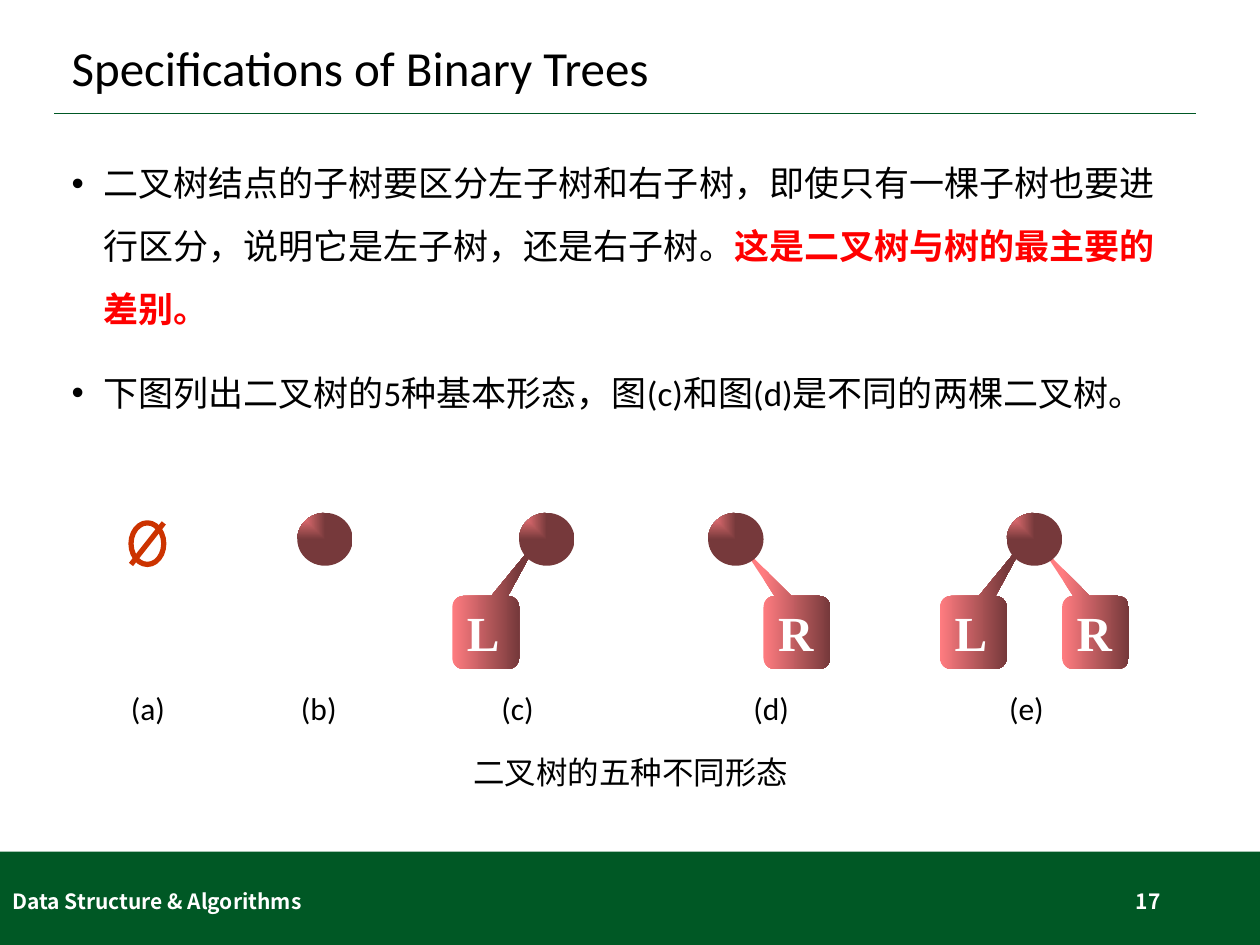
from pptx import Presentation
from pptx.dml.color import RGBColor
from pptx.enum import shapes, text
from pptx.oxml import parse_xml
from pptx.oxml.ns import nsdecls, qn
from pptx.util import Inches, Pt
from lxml import etree

COLORS = {"green": "005825", "black": "000000", "red": "FF0000", "white": "FFFFFF",
          "rust": "CC3300", "pink": "FF7C80", "dark": "76393B"}
CJK = "Noto Sans CJK SC"

TITLE = "Specifications of Binary Trees"
BULLETS = [
    [("二叉树结点的子树要区分左子树和右子树，即使只有一棵子树也要进行区分，说明它是左子树，还是右子树。", {}),
     ("这是二叉树与树的最主要的差别。", {"color": "red", "bold": True})],
    [("下图列出二叉树的5种基本形态，图(c)和图(d)是不同的两棵二叉树。", {})],
]
CAPTION = "二叉树的五种不同形态"
FOOTER, PAGE = "Data Structure & Algorithms", "17"

# label, label left, root left (None for the empty tree), subtrees
TREES = [("(a)", 0.94, None, ""), ("(b)", 2.29, 2.36, ""), ("(c)", 3.88, 4.12, "L"),
         ("(d)", 5.88, 5.62, "R"), ("(e)", 7.91, 7.99, "LR")]
ROOT_W, ROOT_H, ROOT_TOP = 0.44, 0.42, 4.07
BOX_W, BOX_H, BOX_TOP = 0.53, 0.58, 4.73
# offset from root, callout adjustments, letter width
SIDES = {"L": (-BOX_W, (0.819, -1.318, 0.167), 0.49),
         "R": (ROOT_W, (-0.83, -1.188, 0.167), 0.51)}

deck = Presentation()
deck.slide_width, deck.slide_height = Inches(10), Inches(7.5)
slide = deck.slides.add_slide(deck.slide_layouts[6])


def rgb(name):
    return RGBColor.from_string(COLORS[name])


def add_run(para, words, size=18, color="black", bold=False, font="Calibri"):
    run = para.add_run()
    run.text = words
    run.font.size, run.font.bold, run.font.name = Pt(size), bold, font
    run.font.color.rgb = rgb(color)
    etree.SubElement(run.font._element, qn("a:ea"), typeface=CJK)


def add_text(words, at, align="LEFT", anchor="TOP", wrap=True, lines=None, **style):
    box = slide.shapes.add_textbox(*map(Inches, at))
    frame = box.text_frame
    frame.word_wrap = wrap
    frame.vertical_anchor = getattr(text.MSO_ANCHOR, anchor)
    para = frame.paragraphs[0]
    para.alignment = getattr(text.PP_ALIGN, align)
    if lines:
        para.line_spacing = lines
    if words:
        add_run(para, words, **style)
    return frame


def add_shape(kind, at, fill=None):
    shape = slide.shapes.add_shape(getattr(shapes.MSO_SHAPE, kind), *map(Inches, at))
    shape.shadow.inherit = False
    shape.line.fill.background()
    if fill:
        shape.fill.solid()
        shape.fill.fore_color.rgb = rgb(fill)
    else:
        shape.fill.background()
    return shape


def add_line(start, end, color, width):
    line = slide.shapes.add_connector(shapes.MSO_CONNECTOR.STRAIGHT,
                                      *map(Inches, start + end))
    line.line.color.rgb, line.line.width = rgb(color), Pt(width)
    etree.SubElement(line._element.spPr, qn("a:effectLst"))


def shade(shape, corner=False):
    """Fade pink to dark, from left to right or from the top left corner."""
    shape.fill.gradient()
    shape.fill.gradient_angle = 0
    for stop, color in zip(shape.fill.gradient_stops, ("pink", "dark")):
        stop.color.rgb = rgb(color)
    if corner:
        lin = shape._element.spPr.find(".//" + qn("a:lin"))
        lin.getparent().replace(lin, parse_xml(
            f'<a:path {nsdecls("a")} path="rect">'
            '<a:fillToRect r="100000" b="100000"/></a:path>'))


def add_bullets(at):
    frame = add_text("", at)
    for i, runs in enumerate(BULLETS):
        para = frame.add_paragraph() if i else frame.paragraphs[0]
        para.line_spacing, para.space_before = 1.5, Pt(12)
        props = para._p.get_or_add_pPr()
        props.set("marL", str(Inches(0.25)))
        props.set("indent", str(Inches(-0.25)))
        etree.SubElement(props, qn("a:buFont"), typeface="Arial")
        etree.SubElement(props, qn("a:buChar"), char="•")
        for words, style in runs:
            add_run(para, words, size=20, **style)


def add_empty(left, top, width, height):
    ring = add_shape("OVAL", (left, top, width, height))
    ring.line.color.rgb, ring.line.width = rgb("rust"), Pt(3)
    add_line((left + width, top), (left, top + height), "rust", 3)


def add_tree(left, sides):
    for side in sides:
        shift, adjust, width = SIDES[side]
        box = add_shape("ROUNDED_RECTANGULAR_CALLOUT",
                        (left + shift, BOX_TOP, BOX_W, BOX_H))
        for i, value in enumerate(adjust):
            box.adjustments[i] = value
        shade(box)
        add_text(side, (left + shift, BOX_TOP, width, 0.57), align="CENTER",
                 anchor="MIDDLE", wrap=False, size=28, color="white", bold=True,
                 font="Times New Roman")
    shade(add_shape("OVAL", (left, ROOT_TOP, ROOT_W, ROOT_H)), corner=True)


add_shape("RECTANGLE", (0, 6.76, 10, 0.74), "green")
add_line((0.43, 0.9), (9.49, 0.9), "green", 1)
add_text(TITLE, (0.47, 0.23, 9.06, 0.66), anchor="MIDDLE", lines=0.9, size=28)
add_bullets((0.47, 1.07, 9.06, 5.54))
for words, at, align in ((FOOTER, (0, 6.95, 3.38, 0.4), "LEFT"),
                         (PAGE, (7.06, 6.95, 2.25, 0.4), "RIGHT")):
    add_text(words, at, align=align, anchor="MIDDLE", size=12, color="white",
             bold=True, font=CJK)

for label, label_left, root, sides in TREES:
    if root is None:
        add_empty(1.04, 4.15, 0.26, 0.33)
    else:
        add_tree(root, sides)
    add_text(label, (label_left, 5.42, 0.48, 0.4), wrap=False)
add_text(CAPTION, (3.64, 5.93, 2.73, 0.4), align="CENTER", wrap=False)

deck.save("out.pptx")
